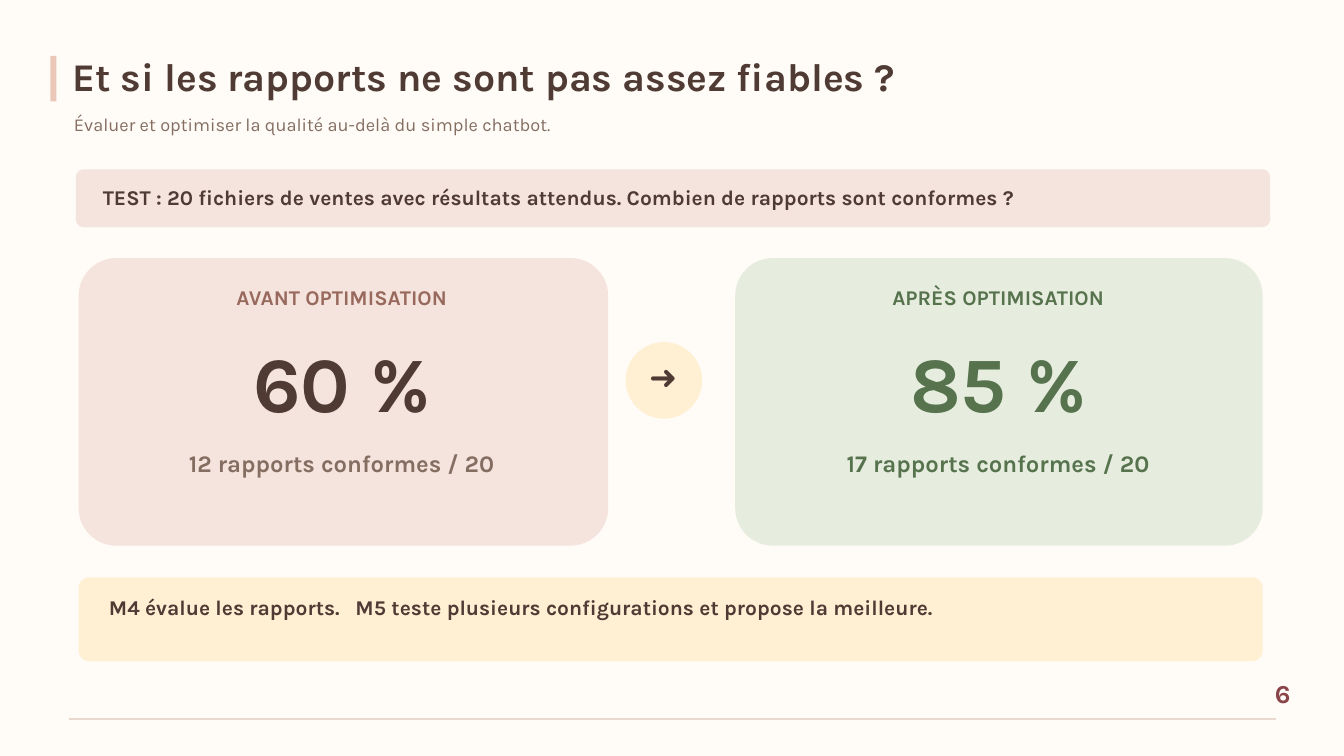
from pptx import Presentation
from pptx.dml.color import RGBColor
from pptx.enum.shapes import MSO_CONNECTOR, MSO_SHAPE
from pptx.enum.text import PP_ALIGN
from pptx.oxml.ns import qn
from pptx.util import Inches, Pt
from lxml.etree import SubElement

CREAM = RGBColor(0xFF, 0xFB, 0xF7)
PEACH = RGBColor(0xEA, 0xC7, 0xB9)
SAND = RGBColor(0xE9, 0xD9, 0xCE)
PINK = RGBColor(0xF5, 0xE3, 0xDD)
LIGHT_GREEN = RGBColor(0xE6, 0xED, 0xDE)
YELLOW = RGBColor(0xFF, 0xF0, 0xD4)
BROWN = RGBColor(0x4F, 0x3B, 0x34)
TAUPE = RGBColor(0x84, 0x6D, 0x61)
ROSE = RGBColor(0x98, 0x6A, 0x5E)
GREEN = RGBColor(0x57, 0x73, 0x4E)
BURGUNDY = RGBColor(0x8A, 0x45, 0x49)

presentation = Presentation()
presentation.slide_width = Inches(20)
presentation.slide_height = Inches(11.25)
slide = presentation.slides.add_slide(presentation.slide_layouts[6])
slide.background.fill.solid()
slide.background.fill.fore_color.rgb = CREAM

# The slide is a grid of 20 columns by 11.25 rows.
COLUMN = presentation.slide_width / 20
ROW = presentation.slide_height / 11.25


def add_panel(kind, left, top, width, height, color, radius=None):
    """Add a borderless filled shape; radius is in grid units."""
    shape = slide.shapes.add_shape(kind, int(left * COLUMN), int(top * ROW),
                                   int(width * COLUMN), int(height * ROW))
    shape.shadow.inherit = False
    shape.fill.solid()
    shape.fill.fore_color.rgb = color
    shape.line.fill.background()
    if radius:
        shape.adjustments[0] = radius / min(width, height)


def add_text(text, left, top, width, height, size, color=BROWN, bold=True,
             align=PP_ALIGN.LEFT, font="Karla", tab=None):
    box = slide.shapes.add_textbox(int(left * COLUMN), int(top * ROW),
                                   int(width * COLUMN), int(height * ROW))
    frame = box.text_frame
    frame.word_wrap = True
    frame.margin_left = frame.margin_right = 0
    frame.margin_top = frame.margin_bottom = 0
    paragraph = frame.paragraphs[0]
    paragraph.alignment = align
    paragraph.line_spacing = Pt(round(size * 1.2, 1))
    if tab:
        tabs = SubElement(paragraph._p.get_or_add_pPr(), qn("a:tabLst"))
        SubElement(tabs, qn("a:tab"), pos=str(int(tab * COLUMN)), algn="l")
    run = paragraph.add_run()
    run.text = text
    run.font.name = font
    run.font.size = Pt(size)
    run.font.bold = bold
    run.font.color.rgb = color


# Heading
add_panel(MSO_SHAPE.RECTANGLE, 0.75, 0.83, 0.09, 0.68, PEACH)
add_text("Et si les rapports ne sont pas assez fiables ?",
         1.08, 0.78, 15.76, 0.8, 42)
add_text("Évaluer et optimiser la qualité au-delà du simple chatbot.",
         1.1, 1.68, 16.51, 0.59, 19.5, color=TAUPE, bold=False)

# Test banner
add_panel(MSO_SHAPE.ROUNDED_RECTANGLE, 1.13, 2.52, 17.77, 0.86, PINK, radius=0.11)
add_text("TEST : 20 fichiers de ventes avec résultats attendus. "
         "Combien de rapports sont conformes ?", 1.53, 2.75, 16.96, 0.44, 22.5)

# Before and after cards
cards = [
    (1.17, 7.88, PINK, ("AVANT OPTIMISATION", ROSE), ("60 %", BROWN),
     ("12 rapports conformes / 20", TAUPE)),
    (10.94, 7.85, LIGHT_GREEN, ("APRÈS OPTIMISATION", GREEN), ("85 %", GREEN),
     ("17 rapports conformes / 20", GREEN)),
]
card_rows = [(4.23, 0.5, 22.5), (4.97, 1.43, 84.1), (6.68, 0.54, 25.5)]
for left, width, fill, *lines in cards:
    add_panel(MSO_SHAPE.ROUNDED_RECTANGLE, left, 3.84, width, 4.28, fill, radius=0.56)
    for (text, color), (top, height, size) in zip(lines, card_rows):
        add_text(text, left + 0.52, top, 6.79, height, size, color=color,
                 align=PP_ALIGN.CENTER)

# Arrow badge between the cards
add_panel(MSO_SHAPE.OVAL, 9.31, 5.09, 1.14, 1.14, YELLOW)
add_text("➜", 9.38, 5.3, 0.98, 0.6, 36, align=PP_ALIGN.CENTER, font="Calibri")

# Conclusion banner
add_panel(MSO_SHAPE.ROUNDED_RECTANGLE, 1.17, 8.59, 17.62, 1.25, YELLOW, radius=0.16)
add_text("M4 évalue les rapports.\tM5 teste plusieurs configurations "
         "et propose la meilleure.", 1.62, 8.84, 16.69, 0.63, 22.5, tab=3.67)

# Footer
footer_line = slide.shapes.add_connector(
    MSO_CONNECTOR.STRAIGHT, int(1.02 * COLUMN), int(10.7 * ROW),
    int(18.99 * COLUMN), int(10.7 * ROW))
footer_line.line.color.rgb = SAND
footer_line.line.width = Pt(1.25)
SubElement(footer_line._element.spPr, qn("a:effectLst"))
add_text("6", 18.97, 10.08, 0.21, 0.46, 27.7, color=BURGUNDY, align=PP_ALIGN.CENTER)

presentation.save("out.pptx")
